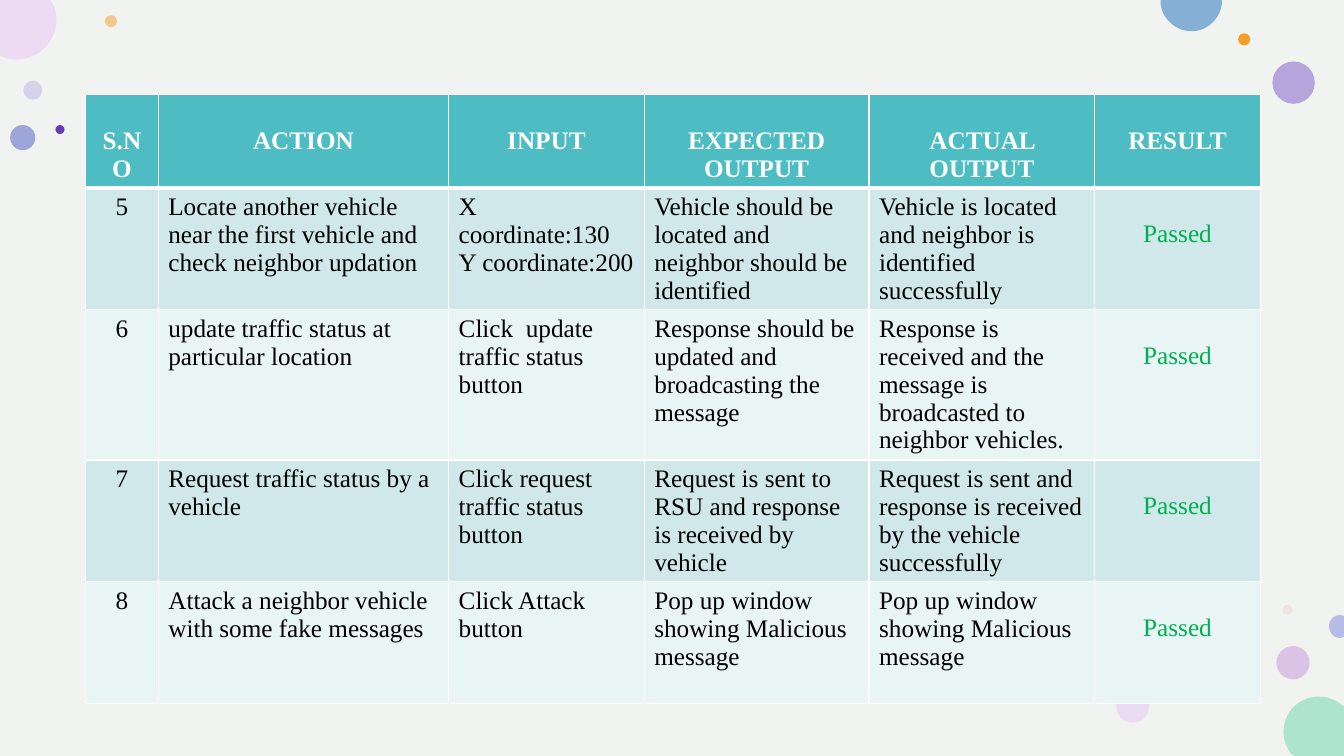
from dataclasses import dataclass

from lxml import etree
from pptx import Presentation
from pptx.dml.color import RGBColor
from pptx.enum.shapes import MSO_SHAPE
from pptx.enum.text import PP_ALIGN
from pptx.oxml.ns import qn
from pptx.util import Inches, Pt

OVAL, RECT = MSO_SHAPE.OVAL, MSO_SHAPE.RECTANGLE
CENTER, LEFT = PP_ALIGN.CENTER, PP_ALIGN.LEFT
WIDTH, HEIGHT = 13.33, 7.5


@dataclass(frozen=True)
class Theme:
    font: str = "Times New Roman"
    size: float = 18
    background: str = "F1F3F0"
    header: str = "4DBDC3"
    bands: tuple = ("D0E8E9", "E9F4F5")
    white: str = "FFFFFF"
    text: str = "000000"
    passed: str = "00B050"
    orange: str = "F39E29"
    mint: str = "ADE4D0"
    pink: str = "ECDBF3"
    blue: str = "84B0D6"
    indigo: str = "4D5AC3"
    violet: str = "623FB3"
    lavender: str = "BFB0E3"
    orchid: str = "C794DB"
    purple: str = "9F88D5"
    rose: str = "E3BEBE"
    periwinkle: str = "B8BDE7"


T = Theme()

# left, top, diameter, colour, opacity in percent
DOTS = [
    (0.23, 0.8, 0.19, T.lavender, 50),
    (1.04, 0.15, 0.12, T.orange, 50),
    (12.66, 6.41, 0.33, T.orchid, 50),
    (0.1, 1.24, 0.25, T.indigo, 50),
    (12.62, 0.61, 0.42, T.purple, 72),
    (12.28, 0.33, 0.12, T.orange, 100),
    (12.72, 6, 0.1, T.rose, 28),
    (11.39, 6.7, 0.12, T.indigo, 100),
    (11.07, 6.84, 0.33, T.pink, 100),
    (10.86, 6.79, 0.12, T.mint, 100),
    (0.55, 1.24, 0.09, T.violet, 100),
]

# colour, then the outline: two numbers for a line, six for a curve
EDGE_DOTS = [
    (T.mint, [(13.08, 6.91), (13.18, 6.91, 13.26, 6.95, 13.33, 7.01), (13.33, 7.5),
              (12.83, 7.5), (12.81, 7.48), (12.76, 7.42, 12.73, 7.34, 12.73, 7.26),
              (12.73, 7.06, 12.89, 6.91, 13.08, 6.91)]),
    (T.pink, [(0, 0), (0.5, 0), (0.53, 0.05), (0.55, 0.09, 0.56, 0.14, 0.56, 0.2),
              (0.56, 0.41, 0.38, 0.59, 0.17, 0.59),
              (0.11, 0.59, 0.06, 0.58, 0.02, 0.56), (0, 0.55)]),
    (T.blue, [(11.52, 0), (12.12, 0), (12.12, 0.01),
              (12.12, 0.17, 11.98, 0.31, 11.82, 0.31),
              (11.65, 0.31, 11.51, 0.17, 11.51, 0.01)]),
    (T.periwinkle, [(13.29, 6.1), (13.33, 6.11), (13.33, 6.32), (13.29, 6.33),
                    (13.23, 6.33, 13.18, 6.28, 13.18, 6.21),
                    (13.18, 6.15, 13.23, 6.1, 13.29, 6.1)]),
]

HEADER = ["S.NO", "ACTION", "INPUT", "EXPECTED OUTPUT", "ACTUAL OUTPUT", "RESULT"]
TESTS = [
    ["5", "Locate another vehicle near the first vehicle and check neighbor updation",
     "X coordinate:130\nY coordinate:200",
     "Vehicle should be located and neighbor should be identified",
     "Vehicle is located and neighbor is identified successfully", "Passed"],
    ["6", "update traffic status at particular location",
     "Click  update traffic status button",
     "Response should be updated and broadcasting the message ",
     "Response is received and the message is broadcasted to neighbor vehicles.",
     "Passed"],
    ["7", "Request traffic status by a vehicle",
     "Click request traffic status button",
     "Request is sent to RSU and response is received by vehicle",
     "Request is sent and response is received by the vehicle successfully", "Passed"],
    ["8", "Attack a neighbor vehicle with some fake messages",
     "Click Attack button",
     "Pop up window showing Malicious message",
     "Pop up window showing Malicious message", "Passed"],
]
COL_WIDTHS = [0.72, 2.88, 1.94, 2.23, 2.24, 1.64]
ROW_HEIGHTS = [0.91, 1.21, 1.49, 1.2, 1.21]


def rgb(color):
    return RGBColor.from_string(color)


class SlideBuilder:
    def __init__(self, slide, theme):
        self.s = slide
        self.theme = theme

    def paint(self, sp, color, opacity=100):
        sp.shadow.inherit = False
        sp.line.fill.background()
        sp.fill.solid()
        sp.fill.fore_color.rgb = rgb(color)
        if opacity < 100:
            clr = sp.fill._xPr.find(".//" + qn("a:srgbClr"))
            etree.SubElement(clr, qn("a:alpha"), val=str(opacity * 1000))

    def shape(self, kind, x, y, w, h, color, opacity=100):
        sp = self.s.shapes.add_shape(kind, Inches(x), Inches(y), Inches(w), Inches(h))
        self.paint(sp, color, opacity)

    def edge_dot(self, color, outline):
        """Draw a circle cut off at the slide edge, from lines and Bézier curves."""
        ends = [(Inches(step[-2]), Inches(step[-1])) for step in outline]
        builder = self.s.shapes.build_freeform(*ends[0])
        builder.add_line_segments(ends[1:], close=True)
        sp = builder.convert_to_shape()
        lines = list(sp._element.iter(qn("a:lnTo")))
        for line, step in zip(lines, outline[1:]):
            if len(step) == 6:
                curve = etree.Element(qn("a:cubicBezTo"))
                for x, y in zip(step[::2], step[1::2]):
                    etree.SubElement(curve, qn("a:pt"), x=str(Inches(x) - sp.left),
                                     y=str(Inches(y) - sp.top))
                line.getparent().replace(line, curve)
        self.paint(sp, color)

    def borders(self, cell, top, bottom):
        tc_pr = cell._tc.get_or_add_tcPr()
        sides = [("a:lnL", 1), ("a:lnR", 1), ("a:lnT", top), ("a:lnB", bottom)]
        for i, (tag, width) in enumerate(sides):
            ln = etree.Element(qn(tag), w=str(Pt(width)))
            fill = etree.SubElement(ln, qn("a:solidFill"))
            etree.SubElement(fill, qn("a:srgbClr"), val=self.theme.white)
            tc_pr.insert(i, ln)

    def cell(self, cell, text, fill, color, align, bold, lowered):
        """Fill one cell; lowered text starts one line further down."""
        cell.fill.solid()
        cell.fill.fore_color.rgb = rgb(fill)
        cell.margin_top = Inches(0.32 if lowered else 0.05)
        cell.text_frame.text = text
        for p in cell.text_frame.paragraphs:
            p.alignment = align
            p.font.name = self.theme.font
            p.font.size = Pt(self.theme.size)
            p.font.bold = bold
            p.font.color.rgb = rgb(color)

    def table(self, x, y, col_widths, row_heights, rows):
        t = self.theme
        frame = self.s.shapes.add_table(
            len(rows), len(col_widths), Inches(x), Inches(y),
            Inches(sum(col_widths)), Inches(sum(row_heights)))
        table = frame.table
        for col, width in zip(table.columns, col_widths):
            col.width = Inches(width)
        for row, height in zip(table.rows, row_heights):
            row.height = Inches(height)
        last = len(col_widths) - 1
        for r, texts in enumerate(rows):
            head = r == 0
            fill = t.header if head else t.bands[(r - 1) % 2]
            for c, text in enumerate(texts):
                result = c == last
                color = t.white if head else t.passed if result else t.text
                align = CENTER if head or c in (0, last) else LEFT
                cell = table.cell(r, c)
                self.cell(cell, text, fill, color, align, head, head or result)
                self.borders(cell, top=3 if r == 1 else 1, bottom=3 if head else 1)


def main():
    prs = Presentation()
    prs.slide_width, prs.slide_height = Inches(WIDTH), Inches(HEIGHT)
    builder = SlideBuilder(prs.slides.add_slide(prs.slide_layouts[6]), T)
    builder.shape(RECT, 0, 0, WIDTH, HEIGHT, T.background)
    for x, y, d, color, opacity in DOTS:
        builder.shape(OVAL, x, y, d, d, color, opacity)
    for color, outline in EDGE_DOTS:
        builder.edge_dot(color, outline)
    builder.table(0.85, 0.94, COL_WIDTHS, ROW_HEIGHTS, [HEADER] + TESTS)
    prs.save("out.pptx")


if __name__ == "__main__":
    main()
